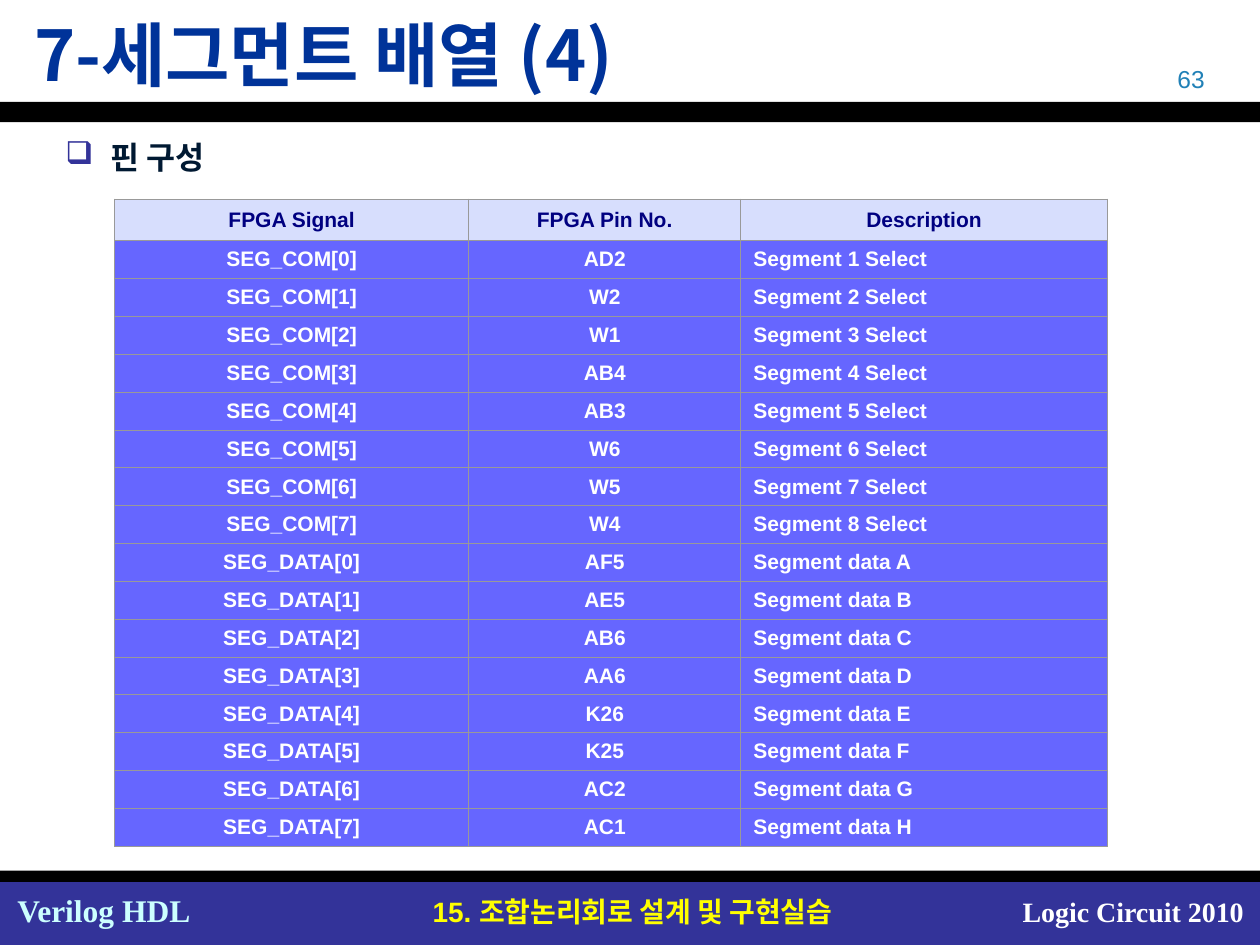
import dataclasses

import pptx
import pptx.dml.color
import pptx.enum.shapes
import pptx.enum.text
import pptx.oxml
import pptx.oxml.ns
import pptx.util

Inches = pptx.util.Inches
Pt = pptx.util.Pt
ALIGN = pptx.enum.text.PP_ALIGN
ANCHOR = pptx.enum.text.MSO_ANCHOR
NS = pptx.oxml.ns.nsdecls("a")


@dataclasses.dataclass(frozen=True)
class Theme:
    sans: str = "Arial"
    serif: str = "Times New Roman"
    korean: str = "Noto Sans CJK KR"
    title: str = "003399"
    text: str = "001932"
    number: str = "2181B7"
    rule: str = "000000"
    footer: str = "333399"
    course: str = "CCFFFF"
    chapter: str = "FFFF00"
    white: str = "FFFFFF"
    header_fill: str = "D7DEFD"
    header_text: str = "000080"
    row_fill: str = "6666FF"
    border: str = "999999"
    border_pt: float = 0.45
    title_pt: int = 40
    body_pt: int = 18
    footer_pt: int = 16
    number_pt: int = 14
    table_pt: int = 12


THEME = Theme()
PINS = (
    "AD2 W2 W1 AB4 AB3 W6 W5 W4 AF5 AE5 AB6 AA6 K26 K25 AC2 AC1"
).split()


def rgb(value):
    return pptx.dml.color.RGBColor.from_string(value)


def write(tf, text, size, color, font=THEME.sans, align=ALIGN.LEFT, bold=True):
    tf.text = text
    p = tf.paragraphs[0]
    p.alignment = align
    r = p.runs[0]
    r.font.size = Pt(size)
    r.font.bold = bold
    r.font.name = font
    r.font.color.rgb = rgb(color)
    r.font._element.append(
        pptx.oxml.parse_xml(f'<a:ea {NS} typeface="{THEME.korean}"/>'))
    return p


def hang(p, margin, indent):
    pPr = p._p.get_or_add_pPr()
    pPr.set("marL", str(Inches(margin)))
    pPr.set("indent", str(Inches(indent)))
    return pPr


def add_text(s, box, *args, **kwargs):
    tb = s.shapes.add_textbox(*map(Inches, box))
    tb.text_frame.word_wrap = True
    return tb, write(tb.text_frame, *args, **kwargs)


def add_bar(s, box, color):
    sp = s.shapes.add_shape(
        pptx.enum.shapes.MSO_SHAPE.RECTANGLE, *map(Inches, box))
    sp.shadow.inherit = False
    sp.fill.solid()
    sp.fill.fore_color.rgb = rgb(color)
    sp.line.fill.background()


def add_footer(s, x, y, w, h):
    rule = 0.09
    add_bar(s, (x, y + rule, w, h - rule), THEME.footer)
    add_bar(s, (x, y, w, rule), THEME.rule)
    top = y + 0.14
    add_text(s, (x + 3.07, top, 3.9, 0.37), "15. 조합논리회로 설계 및 구현실습",
             THEME.footer_pt, THEME.chapter, align=ALIGN.CENTER)
    add_text(s, (x + w - 2.12, top, 2.09, 0.37), "Logic Circuit 2010",
             THEME.footer_pt, THEME.white, THEME.serif, ALIGN.RIGHT)
    tb, p = add_text(s, (x + 0.04, top - 0.03, 1.58, 0.4), "Verilog HDL",
                     THEME.body_pt, THEME.course, THEME.serif)
    tb.text_frame.margin_right = Inches(0.02)


def add_header(s, x, y, w, h):
    rule = 0.16
    add_bar(s, (x, y + h - rule, w, rule), THEME.rule)
    add_text(s, (x + w - 2.67, y + 0.46, 2.33, 0.33), "63", THEME.number_pt,
             THEME.number, align=ALIGN.RIGHT, bold=False)
    title = s.shapes.title
    title.left, title.top = Inches(x + 0.17), Inches(y + 0.05)
    title.width, title.height = Inches(w - 0.33), Inches(0.75)
    tf = title.text_frame
    tf.word_wrap = True
    tf.auto_size = pptx.enum.text.MSO_AUTO_SIZE.NONE
    tf.vertical_anchor = ANCHOR.MIDDLE
    p = write(tf, "7-세그먼트 배열 (4)", THEME.title_pt, THEME.title, THEME.korean)
    hang(p, 0.3, -0.3)


def add_body(s, x, y, w, h):
    tb, p = add_text(s, (x, y, w, h), "핀 구성", THEME.body_pt, THEME.text)
    p.line_spacing = 1.2
    pPr = hang(p, 0.36, -0.36)
    pPr.append(pptx.oxml.parse_xml(
        f'<a:buClr {NS}><a:srgbClr val="{THEME.footer}"/></a:buClr>'))
    pPr.append(pptx.oxml.parse_xml(f'<a:buChar {NS} char="❑"/>'))


def set_borders(cell):
    tcPr = cell._tc.get_or_add_tcPr()
    for i, side in enumerate(("lnL", "lnR", "lnT", "lnB")):
        tcPr.insert(i, pptx.oxml.parse_xml(
            f'<a:{side} {NS} w="{Pt(THEME.border_pt)}"><a:solidFill>'
            f'<a:srgbClr val="{THEME.border}"/></a:solidFill></a:{side}>'))


def pin_rows():
    yield "FPGA Signal", "FPGA Pin No.", "Description"
    for i, pin in enumerate(PINS):
        bit = i % 8
        if i < 8:
            yield f"SEG_COM[{bit}]", pin, f"Segment {bit + 1} Select"
        else:
            yield f"SEG_DATA[{bit}]", pin, f"Segment data {'ABCDEFGH'[bit]}"


def add_pin_table(s, x, y, w, h):
    rows = list(pin_rows())
    header_h = 0.33
    table = s.shapes.add_table(
        len(rows), 3, *map(Inches, (x, y, w, h))).table
    table.first_row = table.horz_banding = False
    for col, share in zip(table.columns, (2.81, 2.16, 2.91)):
        col.width = Inches(w * share / 7.88)
    for i, values in enumerate(rows):
        head = i == 0
        table.rows[i].height = Inches(
            header_h if head else (h - header_h) / len(PINS))
        for j, value in enumerate(values):
            cell = table.cell(i, j)
            cell.vertical_anchor = ANCHOR.MIDDLE
            cell.fill.solid()
            cell.fill.fore_color.rgb = rgb(
                THEME.header_fill if head else THEME.row_fill)
            set_borders(cell)
            p = write(cell.text_frame, value, THEME.table_pt,
                      THEME.header_text if head else THEME.white,
                      align=ALIGN.CENTER if head or j < 2 else ALIGN.LEFT)
            hang(p, 0.31, -0.31)


def main():
    prs = pptx.Presentation()
    prs.slide_width, prs.slide_height = Inches(10), Inches(7.5)
    s = prs.slides.add_slide(prs.slide_layouts[5])
    add_footer(s, 0, 6.91, 10, 0.59)
    add_header(s, 0, 0, 10, 0.97)
    add_body(s, 0.42, 0.99, 4.55, 5.84)
    add_pin_table(s, 0.91, 1.58, 7.88, 5.13)
    prs.save("out.pptx")


if __name__ == "__main__":
    main()
